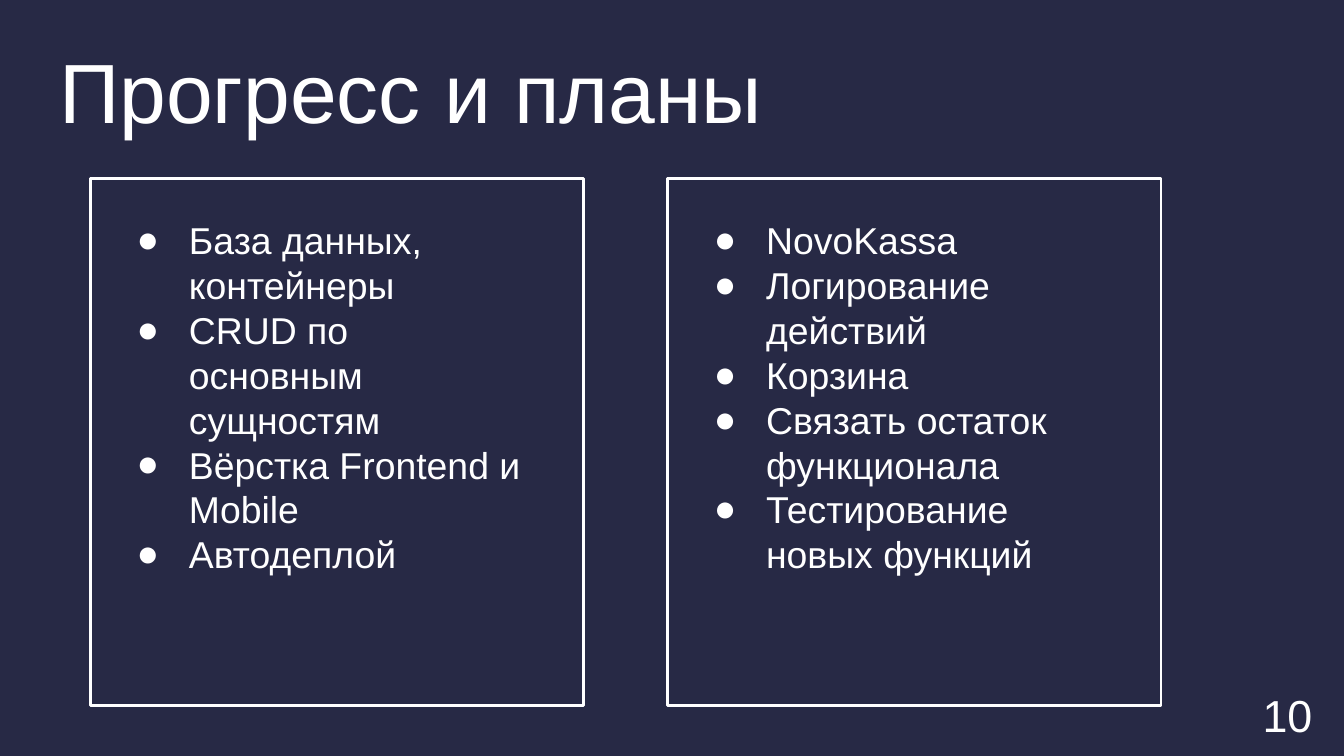
from dataclasses import dataclass

from lxml.etree import SubElement
from pptx import Presentation
from pptx.dml.color import RGBColor
from pptx.enum.shapes import MSO_SHAPE
from pptx.enum.text import MSO_ANCHOR, MSO_AUTO_SIZE, PP_ALIGN
from pptx.oxml.ns import qn
from pptx.slide import Slide
from pptx.util import Pt


@dataclass(frozen=True)
class Theme:
    background: RGBColor = RGBColor(0x27, 0x29, 0x45)
    foreground: RGBColor = RGBColor(0xFF, 0xFF, 0xFF)
    font: str = "Arial"
    title_size: int = 45
    list_size: int = 20
    number_size: int = 24


@dataclass(frozen=True)
class Box:
    left: float
    top: float
    width: float
    height: float

    def lengths(self) -> tuple:
        return Pt(self.left), Pt(self.top), Pt(self.width), Pt(self.height)


@dataclass(frozen=True)
class Panel:
    frame: Box
    text: Box
    items: tuple[str, ...]


THEME = Theme()
TITLE_BOX = Box(24.5, 13.7, 671, 45.4)
NUMBER_BOX = Box(667, 367.2, 43.2, 31)
PANELS = (
    Panel(
        Box(48.5, 95.8, 264.2, 282.2),
        Box(58, 109.4, 233, 184.3),
        (
            "База данных, контейнеры",
            "CRUD по основным сущностям",
            "Вёрстка Frontend и Mobile",
            "Автодеплой",
        ),
    ),
    Panel(
        Box(357.8, 95.8, 264.2, 282.2),
        Box(367.2, 109.4, 233, 208.8),
        (
            "NovoKassa",
            "Логирование действий",
            "Корзина",
            "Связать остаток функционала",
            "Тестирование новых функций",
        ),
    ),
)


def place(shape, box: Box) -> None:
    shape.left, shape.top, shape.width, shape.height = box.lengths()


def write(shape, lines: tuple[str, ...], size: int,
          alignment: PP_ALIGN = PP_ALIGN.LEFT,
          anchor: MSO_ANCHOR = MSO_ANCHOR.TOP,
          auto_size: MSO_AUTO_SIZE = MSO_AUTO_SIZE.NONE) -> None:
    """Fill a shape with one formatted paragraph per line."""
    frame = shape.text_frame
    frame.text = "\n".join(lines)
    frame_format = {"word_wrap": True, "auto_size": auto_size,
                    "vertical_anchor": anchor}
    for side in ("left", "top", "right", "bottom"):
        frame_format[f"margin_{side}"] = Pt(7.2)
    for name, value in frame_format.items():
        setattr(frame, name, value)

    paragraph_format = {"alignment": alignment, "line_spacing": 1.0,
                        "space_before": Pt(0), "space_after": Pt(0)}
    font_format = {"name": THEME.font, "size": Pt(size)}
    for paragraph in frame.paragraphs:
        for name, value in paragraph_format.items():
            setattr(paragraph, name, value)
        font = paragraph.runs[0].font
        for name, value in font_format.items():
            setattr(font, name, value)
        font.color.rgb = THEME.foreground


def add_bullets(shape) -> None:
    for paragraph in shape.text_frame.paragraphs:
        properties = paragraph._p.get_or_add_pPr()
        properties.set("marL", str(Pt(36)))
        properties.set("indent", str(-Pt(28)))
        color = SubElement(properties, qn("a:buClr"))
        SubElement(color, qn("a:srgbClr"), val=str(THEME.foreground))
        SubElement(properties, qn("a:buFont"), typeface=THEME.font)
        SubElement(properties, qn("a:buChar"), char="●")


def draw_panel(slide: Slide, panel: Panel, placeholder) -> None:
    frame = slide.shapes.add_shape(MSO_SHAPE.RECTANGLE, *panel.frame.lengths())
    frame.shadow.inherit = False
    frame.fill.background()
    frame.line.color.rgb = THEME.foreground
    frame.line.width = Pt(1.5)

    place(placeholder, panel.text)
    write(placeholder, panel.items, THEME.list_size,
          auto_size=MSO_AUTO_SIZE.SHAPE_TO_FIT_TEXT)
    add_bullets(placeholder)


def main() -> None:
    presentation = Presentation()
    presentation.slide_width, presentation.slide_height = Pt(720), Pt(405)
    two_content = presentation.slide_layouts.get_by_name("Two Content")
    slide = presentation.slides.add_slide(two_content)
    slide.background.fill.solid()
    slide.background.fill.fore_color.rgb = THEME.background

    title, *bodies = slide.placeholders
    place(title, TITLE_BOX)
    write(title, ("Прогресс и планы",), THEME.title_size)

    for panel, body in zip(PANELS, bodies):
        draw_panel(slide, panel, body)

    number = slide.shapes.add_textbox(*NUMBER_BOX.lengths())
    write(number, ("10",), THEME.number_size, alignment=PP_ALIGN.RIGHT,
          anchor=MSO_ANCHOR.MIDDLE)

    presentation.save("out.pptx")


if __name__ == "__main__":
    main()
